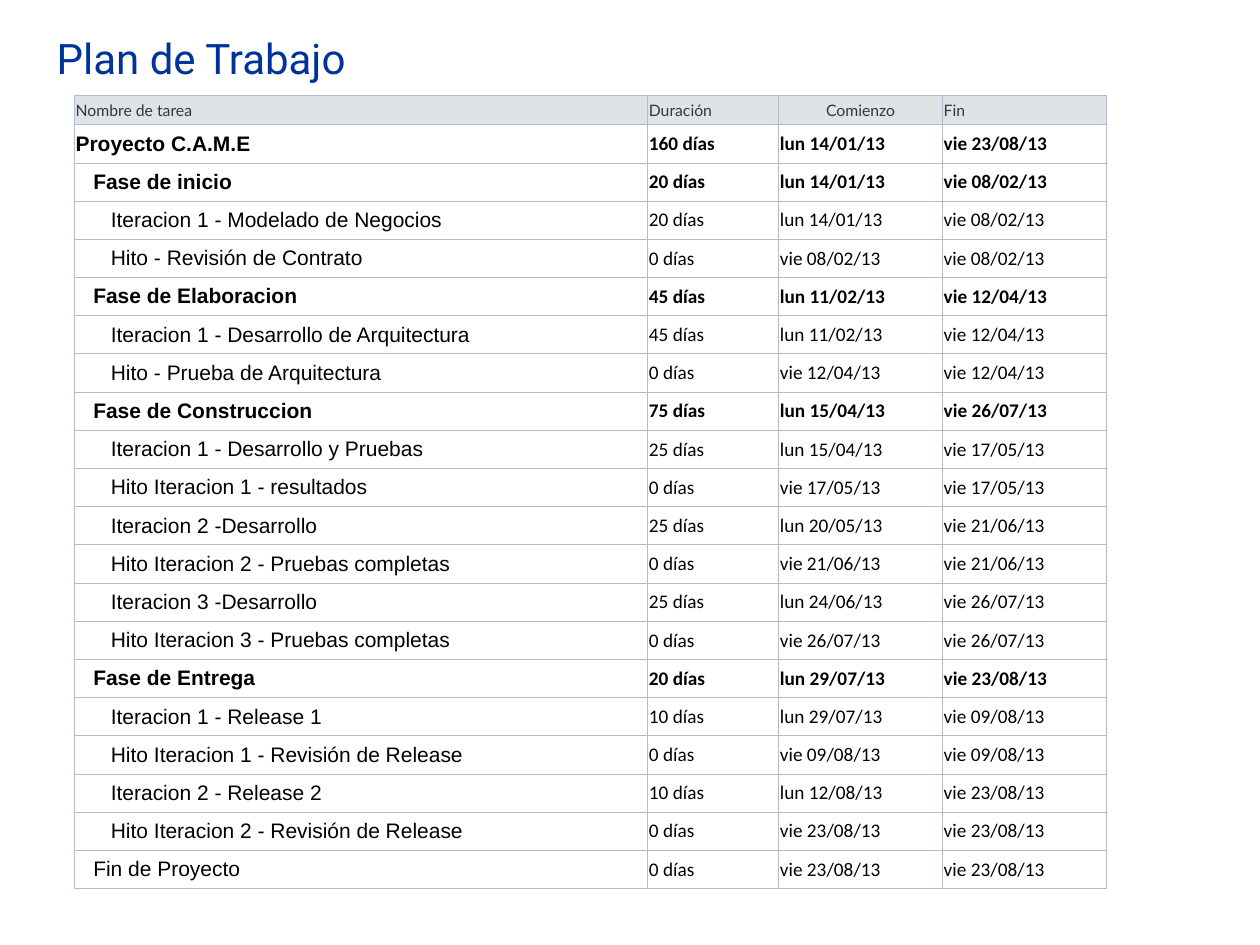
from lxml.etree import SubElement
from pptx import Presentation
from pptx.dml.color import RGBColor
from pptx.enum.text import MSO_ANCHOR, PP_ALIGN
from pptx.oxml.ns import qn
from pptx.util import Inches, Pt

HEADERS = ["Nombre de tarea", "Duración", "Comienzo", "Fin"]
TASKS = [
    (0, True, "Proyecto C.A.M.E", 160, "lun 14/01/13", "vie 23/08/13"),
    (1, True, "Fase de inicio", 20, "lun 14/01/13", "vie 08/02/13"),
    (2, False, "Iteracion 1 - Modelado de Negocios", 20, "lun 14/01/13", "vie 08/02/13"),
    (2, False, "Hito - Revisión de Contrato", 0, "vie 08/02/13", "vie 08/02/13"),
    (1, True, "Fase de Elaboracion", 45, "lun 11/02/13", "vie 12/04/13"),
    (2, False, "Iteracion 1 - Desarrollo de Arquitectura", 45, "lun 11/02/13", "vie 12/04/13"),
    (2, False, "Hito - Prueba de Arquitectura", 0, "vie 12/04/13", "vie 12/04/13"),
    (1, True, "Fase de Construccion", 75, "lun 15/04/13", "vie 26/07/13"),
    (2, False, "Iteracion 1 - Desarrollo y Pruebas", 25, "lun 15/04/13", "vie 17/05/13"),
    (2, False, "Hito Iteracion 1 - resultados", 0, "vie 17/05/13", "vie 17/05/13"),
    (2, False, "Iteracion 2 -Desarrollo", 25, "lun 20/05/13", "vie 21/06/13"),
    (2, False, "Hito Iteracion 2 - Pruebas completas", 0, "vie 21/06/13", "vie 21/06/13"),
    (2, False, "Iteracion 3 -Desarrollo", 25, "lun 24/06/13", "vie 26/07/13"),
    (2, False, "Hito Iteracion 3 - Pruebas completas", 0, "vie 26/07/13", "vie 26/07/13"),
    (1, True, "Fase de Entrega", 20, "lun 29/07/13", "vie 23/08/13"),
    (2, False, "Iteracion 1 - Release 1", 10, "lun 29/07/13", "vie 09/08/13"),
    (2, False, "Hito Iteracion 1 - Revisión de Release", 0, "vie 09/08/13", "vie 09/08/13"),
    (2, False, "Iteracion 2 - Release 2", 10, "lun 12/08/13", "vie 23/08/13"),
    (2, False, "Hito Iteracion 2 - Revisión de Release", 0, "vie 23/08/13", "vie 23/08/13"),
    (1, False, "Fin de Proyecto", 0, "vie 23/08/13", "vie 23/08/13"),
]


def color(value):
    return RGBColor.from_string(value)


class PlanSlide:
    title_color = "003399"
    header_color = "363636"
    header_fill = "DFE3E8"
    body_color = "000000"
    body_fill = "FFFFFF"
    border_color = "B1BBCC"
    header_height = 0.23
    column_widths = [4.55, 1.04, 1.3, 1.3]
    indent = 0.14

    def __init__(self, presentation):
        self.slide = presentation.slides.add_slide(presentation.slide_layouts[5])

    def format_text(self, paragraph, font, size, text_color, bold=False, align=PP_ALIGN.LEFT):
        paragraph.alignment = align
        for run in paragraph.runs:
            run.font.name = font
            run.font.size = Pt(size)
            run.font.bold = bold
            run.font.color.rgb = color(text_color)

    def title(self, text, left, top, width, height):
        shape = self.slide.shapes.title
        shape.left, shape.top = Inches(left), Inches(top)
        shape.width, shape.height = Inches(width), Inches(height)
        shape.text_frame.text = text
        shape.text_frame.vertical_anchor = MSO_ANCHOR.MIDDLE
        self.format_text(shape.text_frame.paragraphs[0], "Roboto", 24, self.title_color)

    def borders(self, cell):
        properties = cell._tc.get_or_add_tcPr()
        for side in ("a:lnL", "a:lnR", "a:lnT", "a:lnB"):
            line = SubElement(properties, qn(side), w=str(Pt(0.5)))
            fill = SubElement(line, qn("a:solidFill"))
            SubElement(fill, qn("a:srgbClr"), val=self.border_color)

    def cell(self, cell, text, fill):
        cell.text_frame.text = text
        cell.vertical_anchor = MSO_ANCHOR.MIDDLE
        cell.margin_left = cell.margin_right = Inches(0.01)
        cell.margin_top = cell.margin_bottom = Inches(0.01)
        self.borders(cell)
        cell.fill.solid()
        cell.fill.fore_color.rgb = color(fill)
        return cell.text_frame.paragraphs[0]

    def table(self, headers, tasks, left, top, height):
        frame = self.slide.shapes.add_table(
            len(tasks) + 1, len(headers), Inches(left), Inches(top),
            Inches(sum(self.column_widths)), Inches(height))
        table = frame.table
        table.first_row = table.horz_banding = False
        for column, width in zip(table.columns, self.column_widths):
            column.width = Inches(width)
        for row in table.rows:
            row.height = Inches((height - self.header_height) / len(tasks))
        table.rows[0].height = Inches(self.header_height)

        for index, text in enumerate(headers):
            paragraph = self.cell(table.cell(0, index), text, self.header_fill)
            align = PP_ALIGN.CENTER if text == "Comienzo" else PP_ALIGN.LEFT
            self.format_text(paragraph, "Lato", 9, self.header_color, align=align)
        for row, (level, bold, name, days, start, end) in enumerate(tasks, 1):
            for index, text in enumerate([name, f"{days} días", start, end]):
                paragraph = self.cell(table.cell(row, index), text, self.body_fill)
                font, size = ("Calibri", 11) if index else ("Arial", 12)
                self.format_text(paragraph, font, size, self.body_color, bold)
                if index == 0 and level:
                    paragraph._p.get_or_add_pPr().set("marL", str(Inches(level * self.indent)))


presentation = Presentation()
presentation.slide_width = Inches(10)
presentation.slide_height = Inches(7.5)
plan = PlanSlide(presentation)
plan.title("Plan de Trabajo", 0.35, -0.02, 8.2, 0.95)
plan.table(HEADERS, TASKS, 0.59, 0.76, 6.3)
presentation.save("out.pptx")
